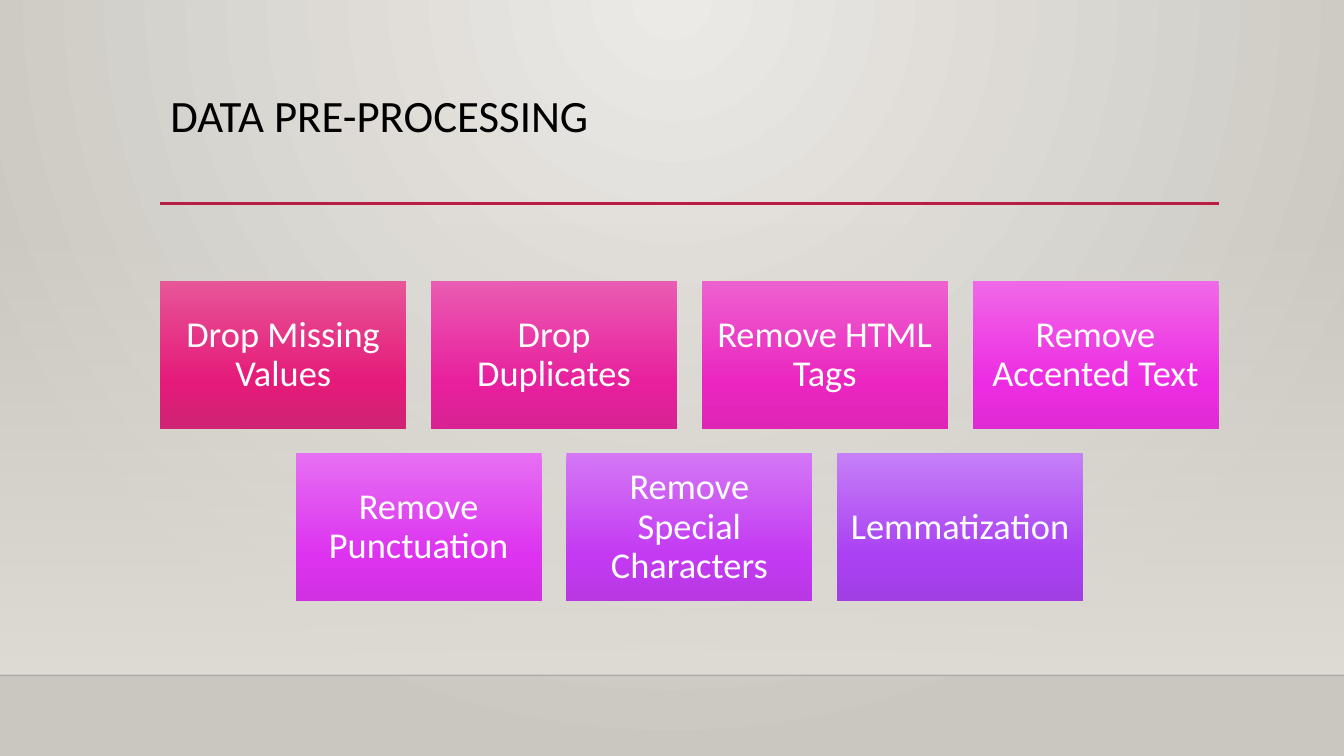
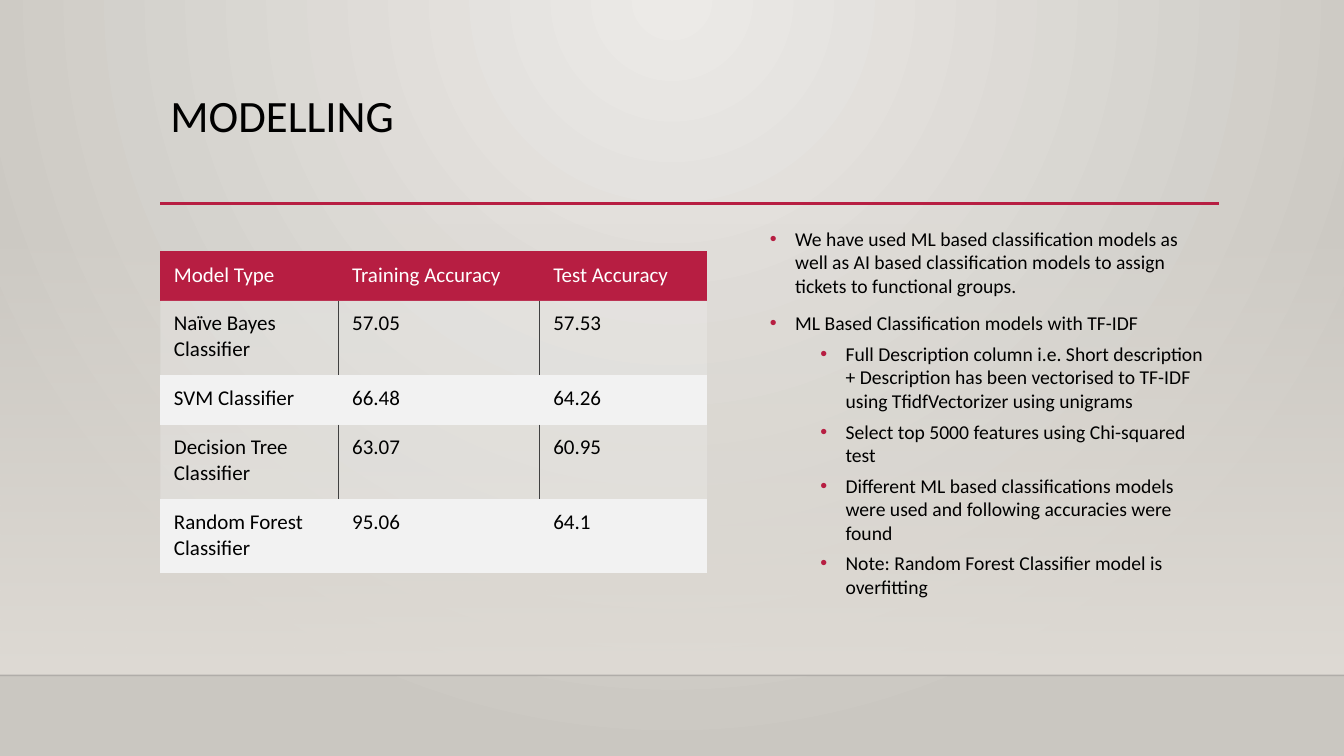
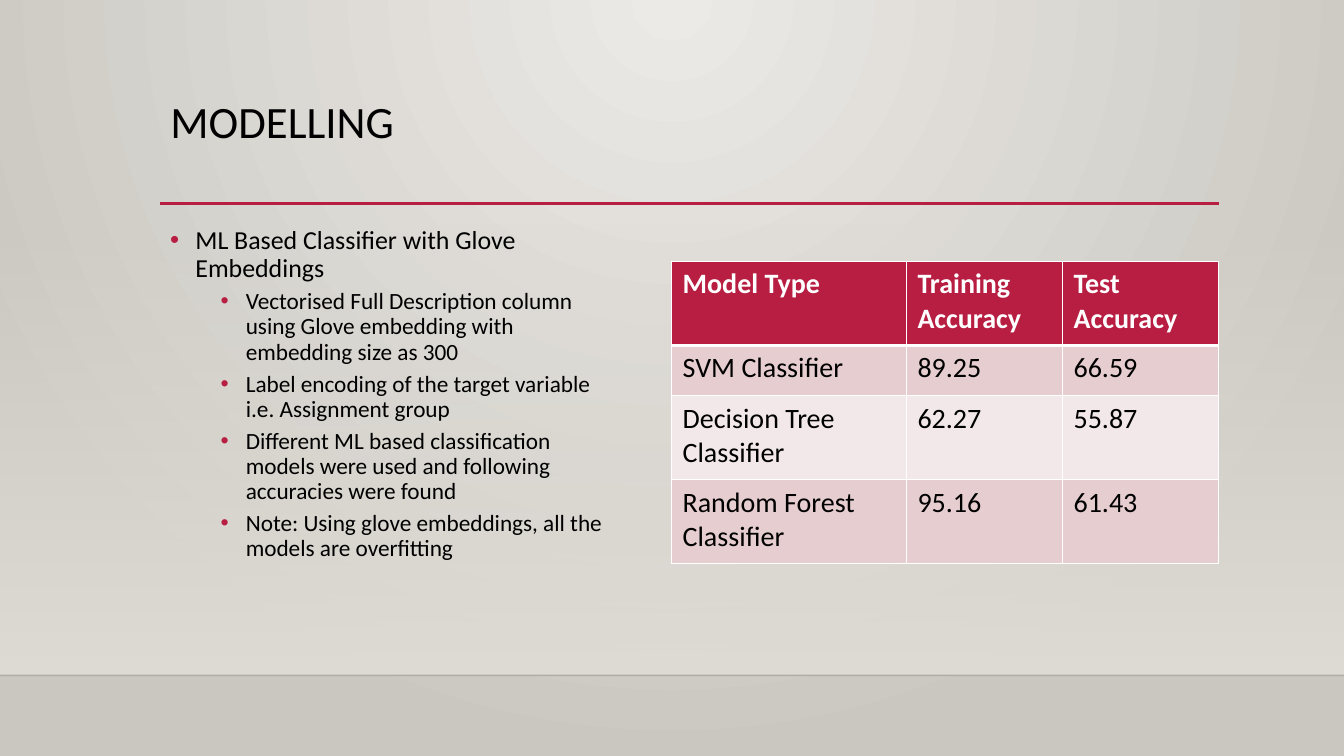
"""Builds three slides on pre-processing and modelling of ticket texts."""
from dataclasses import dataclass
from typing import Callable

from lxml import etree
from pptx import Presentation
from pptx.dml.color import RGBColor
from pptx.enum import shapes, text
from pptx.oxml import parse_xml
from pptx.oxml.ns import nsdecls, qn
from pptx.util import Pt


@dataclass(frozen=True)
class Theme:
    """Colours, type sizes and page measures shared by the slides."""
    font: str = "Calibri"
    accent: str = "B71E42"
    ink: str = "000000"
    paper: str = "FFFFFF"
    row_grey: str = "F2F2F2"
    grid_grey: str = "404040"
    row_rose: str = "E6CDCF"
    row_blush: str = "F3E8E9"
    haze: str = "DFDBD5"
    floor_line: str = "000001"
    backdrop: tuple = ((0, "ECEAE7"), (100, "CAC7C1"))
    title_size: float = 32
    card_size: float = 26
    page_width: float = 960
    page_height: float = 540
    left: float = 114.5
    width: float = 756
    title_top: float = 63.4
    body_top: float = 158.4
    floor: float = 482.4


@dataclass(frozen=True)
class TableLook:
    """Style of one table: type, cell margins, row fills and edges."""
    size: float
    margins: tuple
    head_anchor: text.MSO_ANCHOR
    head_bold: bool
    bands: tuple
    edges: Callable


THEME = Theme()
DOWNWARD = '<a:lin {} ang="5400000" scaled="0"/>'
FROM_TOP = ('<a:path {} path="circle"><a:fillToRect l="43000" t="0" '
            'r="43000" b="100000"/></a:path>')
NO_TABLE_STYLE = "{2D5ABB26-0587-4C30-8999-92F81FD0307C}"


def fade(holder, opacity):
    """Make the solid fill directly inside holder partly transparent."""
    colour = holder.find(qn("a:solidFill")).find(qn("a:srgbClr"))
    etree.SubElement(colour, qn("a:alpha")).set("val", str(opacity * 1000))


def blend(fill, holder, stops, direction):
    """Fill with a gradient; a stop is (position, colour[, opacity])."""
    fill.gradient()
    gradient = next(holder.iter(qn("a:gradFill")))
    for child in list(gradient):
        gradient.remove(child)
    stop_list = etree.SubElement(gradient, qn("a:gsLst"))
    for position, colour, *opacity in stops:
        stop = etree.SubElement(stop_list, qn("a:gs"), pos=str(position * 1000))
        tint = etree.SubElement(stop, qn("a:srgbClr"), val=colour)
        if opacity:
            etree.SubElement(tint, qn("a:alpha"), val=str(opacity[0] * 1000))
    gradient.append(parse_xml(direction.format(nsdecls("a"))))


def grey_dividers(row, col, last_col):
    """Thin upright dividers in every other body row."""
    if row % 2 == 0:
        return {}
    line = (THEME.grid_grey, 0.5)
    sides = {}
    if col > 0:
        sides["L"] = line
    if col < last_col:
        sides["R"] = line
    return sides


def white_grid(row, col, last_col):
    """White grid with a thick rule between header and body."""
    sides = {side: (THEME.paper, 1) for side in "LRTB"}
    if row < 2:
        sides["B" if row == 0 else "T"] = (THEME.paper, 3)
    return sides


class Deck:
    """Holds the theme and the current slide, and draws elements on it."""

    def __init__(self, theme):
        """Open a presentation and set page size and backdrop."""
        self.theme = theme
        self.show = Presentation()
        self.show.slide_width = Pt(theme.page_width)
        self.show.slide_height = Pt(theme.page_height)
        self.layout = self.show.slide_layouts.get_by_name("Title Only")
        master = self.show.slide_master
        blend(master.background.fill, master.element, theme.backdrop, FROM_TOP)
        self.slide = None

    def new_slide(self, title, spacing=0.9, height=82.8):
        """Start a slide and format its title."""
        theme = self.theme
        first = self.slide is None
        self.slide = self.show.slides.add_slide(self.layout)
        if first:
            self.furnish_layout()
        heading = self.slide.shapes.title
        heading.left, heading.top = Pt(theme.left), Pt(theme.title_top)
        heading.width, heading.height = Pt(theme.width), Pt(height)
        frame = heading.text_frame
        frame.auto_size = text.MSO_AUTO_SIZE.NONE
        frame.vertical_anchor = text.MSO_ANCHOR.TOP
        paragraph = frame.paragraphs[0]
        paragraph.alignment = text.PP_ALIGN.LEFT
        paragraph.line_spacing = spacing
        self.run(paragraph, title, theme.title_size, theme.ink)

    def furnish_layout(self):
        """Draw the haze and both rules, and hand them to the layout."""
        theme = self.theme
        haze_top = 159.1
        haze = self.box(0, haze_top, theme.page_width, theme.floor - haze_top,
                        ((0, theme.haze, 0), (100, theme.haze)))
        floor = self.rule(0, theme.page_width, theme.floor,
                          theme.floor_line, 1, 20)
        underline = self.rule(theme.left, theme.left + theme.width + 0.5,
                              145.4, theme.accent, 2.5)
        for part in (haze, floor, underline):
            self.layout.shapes.element.append(part.element)

    def run(self, paragraph, words, size, colour, bold=False):
        """Add one formatted run."""
        run = paragraph.add_run()
        run.text = words
        font = run.font
        font.name, font.size, font.bold = self.theme.font, Pt(size), bold
        font.color.rgb = RGBColor.from_string(colour)

    def rule(self, start, end, top, colour, weight, opacity=100):
        """Draw a horizontal line."""
        rule = self.slide.shapes.add_connector(
            shapes.MSO_CONNECTOR.STRAIGHT, Pt(start), Pt(top), Pt(end), Pt(top))
        rule.line.color.rgb = RGBColor.from_string(colour)
        rule.line.width = Pt(weight)
        properties = rule.element.spPr
        if opacity < 100:
            fade(properties.find(qn("a:ln")), opacity)
        etree.SubElement(properties, qn("a:effectLst"))
        return rule

    def box(self, left, top, width, height, stops):
        """Draw a borderless rectangle with a downward gradient."""
        box = self.slide.shapes.add_shape(
            shapes.MSO_SHAPE.RECTANGLE, Pt(left), Pt(top), Pt(width), Pt(height))
        box.shadow.inherit = False
        box.line.fill.background()
        blend(box.fill, box.element.spPr, stops, DOWNWARD)
        return box

    def card(self, left, top, width, height, label, colours):
        """Draw a gradient card with a centred label."""
        card = self.box(left, top, width, height, tuple(zip((0, 69, 100), colours)))
        frame = card.text_frame
        frame.word_wrap = True
        frame.vertical_anchor = text.MSO_ANCHOR.MIDDLE
        frame.margin_left = frame.margin_right = Pt(7.8)
        frame.margin_top = frame.margin_bottom = Pt(7.8)
        paragraph = frame.paragraphs[0]
        paragraph.alignment = text.PP_ALIGN.CENTER
        paragraph.line_spacing = 0.9
        self.run(paragraph, label, self.theme.card_size, self.theme.paper)

    def card_rows(self, top, cards, per_row):
        """Lay cards out in centred rows with gaps of a tenth of a card."""
        theme = self.theme
        width = theme.width / (per_row + (per_row - 1) / 10)
        height, gap = width * 0.6, width / 10
        for start in range(0, len(cards), per_row):
            row = cards[start:start + per_row]
            row_width = len(row) * (width + gap) - gap
            left = theme.left + (theme.width - row_width) / 2
            for place, (label, *colours) in enumerate(row):
                self.card(left + place * (width + gap), top, width, height,
                          label, colours)
            top += height + gap

    def bullets(self, left, height, points, sizes, spacing):
        """Write a two-level list; a point is (level, words)."""
        holder = self.slide.shapes.add_textbox(
            Pt(left), Pt(self.theme.body_top), Pt(327.6), Pt(height))
        frame = holder.text_frame
        frame.word_wrap = True
        for number, (level, words) in enumerate(points):
            paragraph = frame.add_paragraph() if number else frame.paragraphs[0]
            paragraph.level = level
            paragraph.line_spacing = spacing
            paragraph.space_before = Pt((10, 5)[level])
            properties = paragraph._p.get_or_add_pPr()
            properties.set("marL", str(Pt((18, 54)[level])))
            properties.set("indent", str(Pt(-18)))
            colour = etree.SubElement(properties, qn("a:buClr"))
            etree.SubElement(colour, qn("a:srgbClr"), val=self.theme.accent)
            etree.SubElement(properties, qn("a:buFont"), typeface="Arial")
            etree.SubElement(properties, qn("a:buChar"), char="•")
            self.run(paragraph, words, sizes[level], self.theme.ink)

    def table(self, left, top, widths, heights, records, look):
        """Add a table whose first record is the header."""
        grid = self.slide.shapes.add_table(
            len(records), len(widths), Pt(left), Pt(top),
            Pt(sum(widths)), Pt(sum(heights))).table
        grid.first_row = grid.horz_banding = False
        next(grid._tbl.iter(qn("a:tableStyleId"))).text = NO_TABLE_STYLE
        for column, width in zip(grid.columns, widths):
            column.width = Pt(width)
        for number, (height, record) in enumerate(zip(heights, records)):
            grid.rows[number].height = Pt(height)
            for col, words in enumerate(record):
                edges = look.edges(number, col, len(widths) - 1)
                self.cell(grid.cell(number, col), words, number, edges, look)

    def cell(self, cell, words, row, edges, look):
        """Fill, border and write one table cell."""
        theme = self.theme
        head = row == 0
        (cell.margin_left, cell.margin_top,
         cell.margin_right, cell.margin_bottom) = map(Pt, look.margins)
        cell.vertical_anchor = look.head_anchor if head else text.MSO_ANCHOR.TOP
        properties = cell._tc.get_or_add_tcPr()
        for side, (colour, weight) in edges.items():
            line = etree.SubElement(properties, qn(f"a:ln{side}"), w=str(Pt(weight)))
            solid = etree.SubElement(line, qn("a:solidFill"))
            etree.SubElement(solid, qn("a:srgbClr"), val=colour)
        band = look.bands[(row - 1) % len(look.bands)]
        colour, opacity = (theme.accent, 100) if head else band
        cell.fill.solid()
        cell.fill.fore_color.rgb = RGBColor.from_string(colour)
        if opacity < 100:
            fade(properties, opacity)
        self.run(cell.text_frame.paragraphs[0], words, look.size,
                 theme.paper if head else theme.ink, head and look.head_bold)


CLEANING_STEPS = [
    ("Drop Missing Values", "E75597", "E51A79", "CF2374"),
    ("Drop Duplicates", "EA5BB3", "E8209D", "D82294"),
    ("Remove HTML Tags", "ED61CE", "EB26C0", "DE25B6"),
    ("Remove Accented Text", "F068E8", "ED2CE2", "E02BD5"),
    ("Remove Punctuation", "E66FF3", "DD33F0", "D131E2"),
    ("Remove Special Characters", "D477F5", "C33AF2", "B838E4"),
    ("Lemmatization", "C57FF7", "AA41F3", "A13FE5"),
]
HEADER = ("Model Type", "Training Accuracy", "Test Accuracy")
TFIDF_SCORES = [
    HEADER,
    ("Naïve Bayes Classifier", "57.05", "57.53"),
    ("SVM Classifier", "66.48", "64.26"),
    ("Decision Tree Classifier", "63.07", "60.95"),
    ("Random Forest Classifier", "95.06", "64.1"),
]
TFIDF_POINTS = [
    (0, "We have used ML based classification models as well as AI based "
        "classification models to assign tickets to functional groups."),
    (0, "ML Based Classification models with TF-IDF"),
    (1, "Full Description column i.e. Short description + Description has been "
        "vectorised to TF-IDF using TfidfVectorizer using unigrams"),
    (1, "Select top 5000 features using Chi-squared test"),
    (1, "Different ML based classifications models were used and following "
        "accuracies were found"),
    (1, "Note: Random Forest Classifier model is overfitting"),
]
GLOVE_SCORES = [
    HEADER,
    ("SVM Classifier", "89.25", "66.59"),
    ("Decision Tree Classifier", "62.27", "55.87"),
    ("Random Forest Classifier", "95.16", "61.43"),
]
GLOVE_POINTS = [
    (0, "ML Based Classifier with Glove Embeddings"),
    (1, "Vectorised Full Description column using Glove embedding with "
        "embedding size as 300"),
    (1, "Label encoding of the target variable i.e. Assignment group"),
    (1, "Different ML based classification models were used and following "
        "accuracies were found"),
    (1, "Note: Using glove embeddings, all the models are overfitting"),
]
PLAIN_LOOK = TableLook(
    size=15, margins=(9.8, 7.4, 7.4, 7.4), head_anchor=text.MSO_ANCHOR.MIDDLE,
    head_bold=False, bands=((THEME.row_grey, 30), (THEME.row_grey, 100)),
    edges=grey_dividers)
GRID_LOOK = TableLook(
    size=20, margins=(8.1, 4.1, 8.1, 4.1), head_anchor=text.MSO_ANCHOR.TOP,
    head_bold=True, bands=((THEME.row_rose, 100), (THEME.row_blush, 100)),
    edges=white_grid)


def main():
    """Build the slides and save them."""
    deck = Deck(THEME)

    deck.new_slide("DATA PRE-PROCESSING")
    deck.card_rows(200.8, CLEANING_STEPS, per_row=4)

    deck.new_slide("MODELLING")
    deck.bullets(542.9, 288.7, TFIDF_POINTS, sizes=(14, 14), spacing=1.0)
    deck.table(THEME.left, 179.3, (127.3, 143.7, 119.6),
               (35.4, 53.2, 35.4, 53.2, 53.2), TFIDF_SCORES, PLAIN_LOOK)

    deck.new_slide("MODELLING", spacing=1.0, height=46)
    deck.bullets(THEME.left, 271.4, GLOVE_POINTS, sizes=(18.5, 16.6), spacing=0.9)
    deck.table(479.5, 186.8, (167.8, 111.5, 111.5), (60, 36, 60, 60),
               GLOVE_SCORES, GRID_LOOK)

    deck.show.save("out.pptx")


main()
